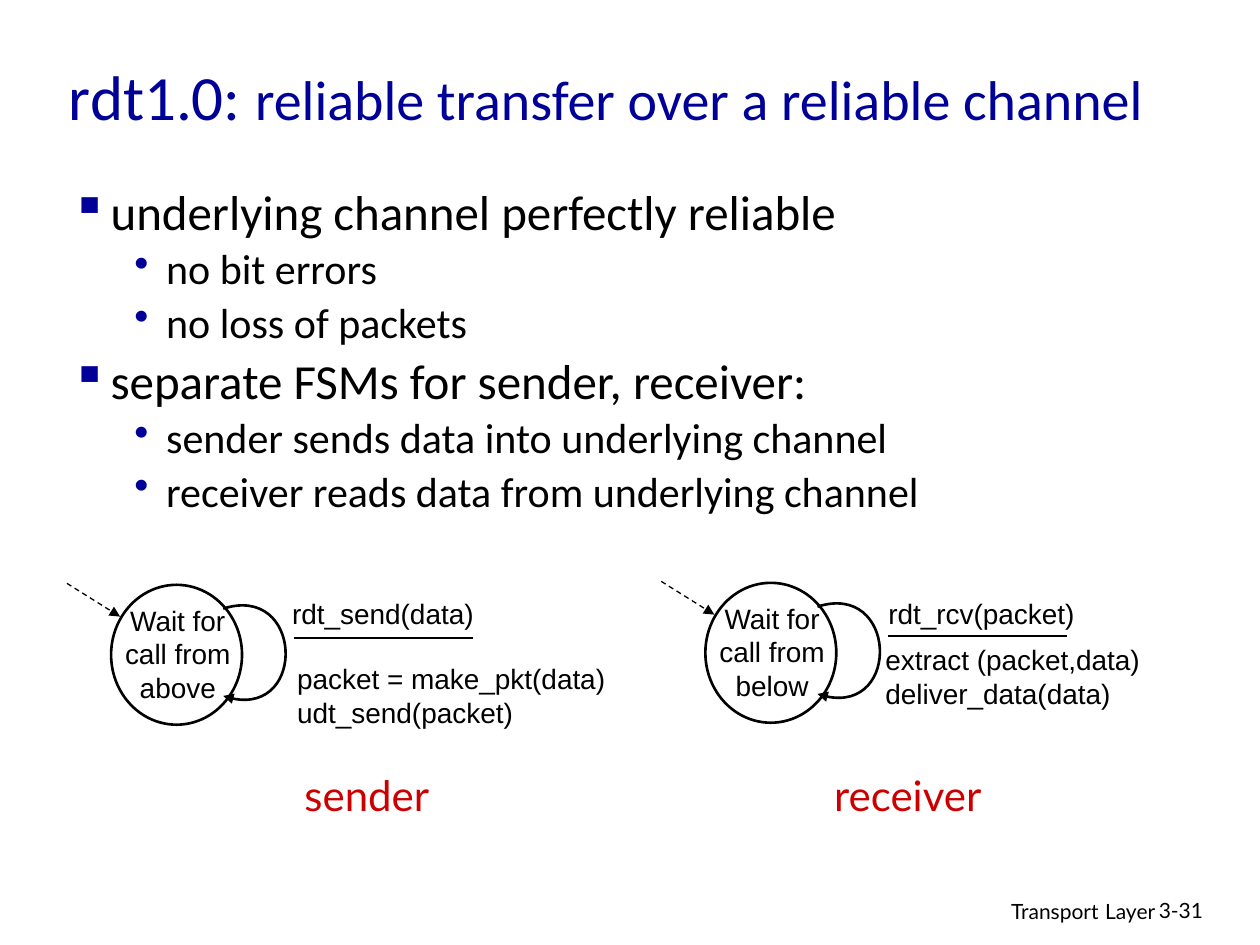
from dataclasses import dataclass
from typing import NamedTuple

from lxml.etree import SubElement
from pptx import Presentation
from pptx.dml.color import RGBColor
from pptx.enum.dml import MSO_LINE_DASH_STYLE as Dash
from pptx.enum.shapes import MSO_CONNECTOR as Conn, MSO_SHAPE as Shp
from pptx.enum.text import MSO_ANCHOR as Anchor, MSO_AUTO_SIZE as Auto, PP_ALIGN as Align
from pptx.oxml.ns import qn
from pptx.util import Cm, Pt


@dataclass(frozen=True)
class Theme:
    navy: RGBColor = RGBColor(0x00, 0x00, 0x99)
    red: RGBColor = RGBColor(0xCC, 0x00, 0x00)
    black: RGBColor = RGBColor(0x00, 0x00, 0x00)
    white: RGBColor = RGBColor(0xFF, 0xFF, 0xFF)
    body_font: str = "Calibri"
    fsm_font: str = "Arial"
    label_font: str = "Lato"
    title: int = 36
    subtitle: int = 32
    point: int = 28
    subpoint: int = 24
    role: int = 24
    fsm: int = 16
    footer: int = 12
    footer_gap: int = 14
    stroke: float = 1.5
    thin: float = 0.75


T = Theme()


class Box(NamedTuple):
    """Left, top, width and height in centimetres."""
    x: float
    y: float
    w: float
    h: float


class Run(NamedTuple):
    text: str
    size: int


class Level(NamedTuple):
    size: int
    left: float
    hang: float
    before: int
    bullet: str


@dataclass(frozen=True)
class Machine:
    """One state machine; x and y are the corner of its state circle."""
    x: float
    y: float
    state: str
    event: str
    event_box: Box
    event_fits: bool
    actions: list[str]
    action_box: Box
    role: str
    role_box: Box


LEVELS = [Level(T.point, 0.79, 0.79, 7, "▪"), Level(T.subpoint, 1.91, 0.64, 6, "•")]

POINTS = [
    (0, "underlying channel perfectly reliable"),
    (1, "no bit errors"),
    (1, "no loss of packets"),
    (0, "separate FSMs for sender, receiver:"),
    (1, "sender sends data into underlying channel"),
    (1, "receiver reads data from underlying channel"),
]

MACHINES = [
    Machine(2.24, 11.79, "Wait for call from above",
            "rdt_send(data)", Box(5.64, 11.91, 6.27, 1.19), False,
            ["packet = make_pkt(data)", "udt_send(packet)"], Box(5.74, 13.21, 7.44, 1.65),
            "sender", Box(5.77, 15.39, 3.25, 1.27)),
    Machine(14.22, 11.75, "Wait for call from below",
            "rdt_rcv(packet)", Box(17.65, 11.91, 4.27, 0.94), True,
            ["extract (packet,data)", "deliver_data(data)"], Box(17.6, 12.83, 6.91, 1.19),
            "receiver", Box(16.46, 15.39, 3.68, 1.27)),
]


def apply(obj, **values) -> None:
    for name, value in values.items():
        setattr(obj, name, value)


def add_text(s, box: Box, paragraphs: list[list[Run]], font: str, color: RGBColor,
             align=Align.LEFT, anchor=Anchor.TOP, fits: bool = False):
    """Add a text box; with fits it hugs its single unwrapped line."""
    tf = s.shapes.add_textbox(*map(Cm, box)).text_frame
    apply(tf, word_wrap=not fits, vertical_anchor=anchor,
          auto_size=Auto.SHAPE_TO_FIT_TEXT if fits else Auto.NONE)
    for i, runs in enumerate(paragraphs):
        p = tf.add_paragraph() if i else tf.paragraphs[0]
        p.alignment = align
        for run in runs:
            r = p.add_run()
            r.text = run.text
            apply(r.font, name=font, size=Pt(run.size))
            r.font.color.rgb = color
    return tf


def add_points(s) -> None:
    tf = add_text(s, Box(1.19, 3.71, 21.95, 8.38),
                  [[Run(text, LEVELS[n].size)] for n, text in POINTS], T.body_font, T.black)
    for i, (p, (n, _)) in enumerate(zip(tf.paragraphs, POINTS)):
        level = LEVELS[n]
        apply(p, level=n, line_spacing=0.85, space_before=Pt(level.before if i else 0))
        pPr = p._p.get_or_add_pPr()
        pPr.set("marL", str(Cm(level.left)))
        pPr.set("indent", str(-Cm(level.hang)))
        color = SubElement(pPr, qn("a:buClr"))
        SubElement(color, qn("a:srgbClr")).set("val", str(T.navy))
        SubElement(pPr, qn("a:buChar")).set("char", level.bullet)


def style_line(shape, width: float, dash=None, arrow: bool = False) -> None:
    line = shape.line
    line.color.rgb = T.black
    line.width = Pt(width)
    if dash:
        line.dash_style = dash
    if arrow:
        SubElement(line._get_or_add_ln(), qn("a:tailEnd")).set("type", "triangle")


def add_line(s, x1: float, y1: float, x2: float, y2: float, width: float, **style) -> None:
    c = s.shapes.add_connector(Conn.STRAIGHT, *map(Cm, (x1, y1, x2, y2)))
    style_line(c, width, **style)
    SubElement(c._element.spPr, qn("a:effectLst"))


def add_curve(s, points: list[tuple[float, float]]) -> None:
    """Draw a cubic curve with an arrowhead: start, two controls, end."""
    start, *rest = [(Cm(x), Cm(y)) for x, y in points]
    fb = s.shapes.build_freeform(*start)
    fb.add_line_segments(rest, close=False)
    sp = fb.convert_to_shape()
    sp.shadow.inherit = False
    sp.fill.background()
    path = sp._element.find(".//" + qn("a:path"))
    segments = path.findall(qn("a:lnTo"))
    curve = SubElement(path, qn("a:cubicBezTo"))
    for segment in segments:
        curve.append(segment[0])
        path.remove(segment)
    style_line(sp, T.stroke, arrow=True)


def add_machine(s, m: Machine) -> None:
    x, y = m.x, m.y
    circle = s.shapes.add_shape(Shp.OVAL, *map(Cm, (x, y, 2.64, 2.82)))
    circle.shadow.inherit = False
    circle.fill.solid()
    circle.fill.fore_color.rgb = T.white
    style_line(circle, T.stroke)
    add_text(s, Box(x - 0.18, y + 0.25, 3.05, 2.54), [[Run(m.state, T.fsm)]],
             T.fsm_font, T.black, Align.CENTER)
    loop = [(2.26, 0.48), (3.86, -0.03), (3.96, 2.82), (2.26, 2.24)]
    add_curve(s, [(x + dx, y + dy) for dx, dy in loop])
    add_line(s, x - 0.89, y - 0.03, x + 0.18, y + 0.64, T.thin, dash=Dash.DASH, arrow=True)
    add_line(s, x + 3.68, y + 1.07, x + 7.29, y + 1.07, T.stroke)
    add_text(s, m.event_box, [[Run(m.event, T.fsm)]], T.fsm_font, T.black,
             Align.CENTER if m.event_fits else Align.LEFT, fits=m.event_fits)
    add_text(s, m.action_box, [[Run(a, T.fsm)] for a in m.actions], T.fsm_font, T.black)
    add_text(s, m.role_box, [[Run(m.role, T.role)]], T.label_font, T.red,
             Align.CENTER, fits=True)


def main() -> None:
    prs = Presentation()
    apply(prs, slide_width=Cm(25.4), slide_height=Cm(19.05))
    s = prs.slides.add_slide(prs.slide_layouts[6])
    add_text(s, Box(15.49, 17.91, 8.05, 0.79),
             [[Run("Transport", T.footer), Run(" ", T.footer_gap), Run("Layer", T.footer)]],
             T.label_font, T.black, Align.RIGHT)
    add_text(s, Box(23.11, 17.96, 1.88, 0.76), [[Run("3-31", T.footer)]], T.label_font, T.black)
    add_text(s, Box(1.14, 0.53, 22.23, 2.79),
             [[Run("rdt1.0: ", T.title),
               Run("reliable transfer over a reliable channel", T.subtitle)]],
             T.body_font, T.navy, anchor=Anchor.MIDDLE)
    add_points(s)
    for m in MACHINES:
        add_machine(s, m)
    prs.save("out.pptx")


if __name__ == "__main__":
    main()
